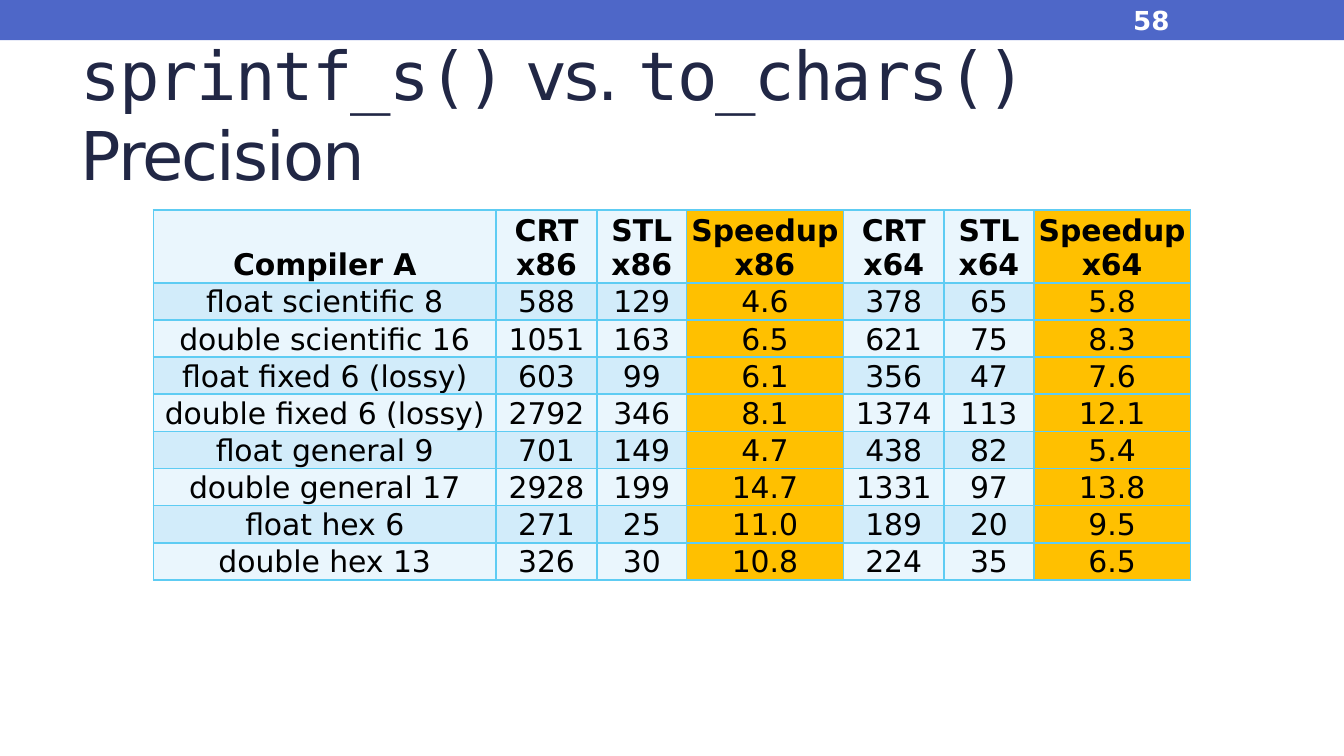
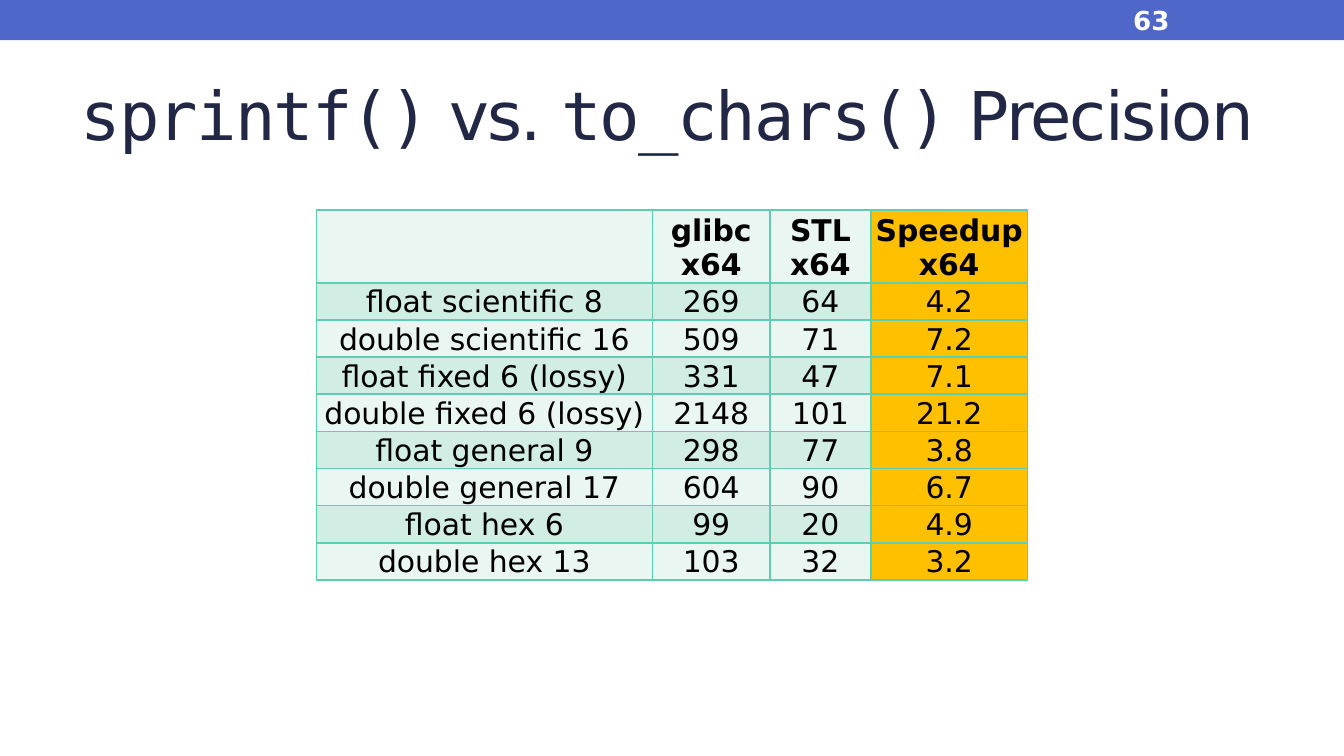
from lxml.etree import SubElement
from pptx import Presentation
from pptx.dml.color import RGBColor
from pptx.enum.shapes import MSO_SHAPE
from pptx.enum.text import MSO_ANCHOR, MSO_AUTO_SIZE, PP_ALIGN
from pptx.oxml.ns import qn
from pptx.util import Pt

SANS = "DejaVu Sans"
MONO = "DejaVu Sans Mono"
WIDTH = 720
BAND = "4E67C8"
NAVY = "212745"
GOLD = "FFC000"
WHITE = "FFFFFF"
BLACK = "000000"
BLUE = ("5ECCF3", "EAF6FD", "D2ECFA")
GREEN = ("5DCEAF", "EAF6F2", "D2EDE3")

TESTS = [
    "float scientific 8", "double scientific 16",
    "float fixed 6 (lossy)", "double fixed 6 (lossy)",
    "float general 9", "double general 17",
    "float hex 6", "double hex 13",
]

CRT = [
    ["588", "129", "4.6", "378", "65", "5.8"],
    ["1051", "163", "6.5", "621", "75", "8.3"],
    ["603", "99", "6.1", "356", "47", "7.6"],
    ["2792", "346", "8.1", "1374", "113", "12.1"],
    ["701", "149", "4.7", "438", "82", "5.4"],
    ["2928", "199", "14.7", "1331", "97", "13.8"],
    ["271", "25", "11.0", "189", "20", "9.5"],
    ["326", "30", "10.8", "224", "35", "6.5"],
]

GLIBC = [
    ["269", "64", "4.2"],
    ["509", "71", "7.2"],
    ["331", "47", "7.1"],
    ["2148", "101", "21.2"],
    ["298", "77", "3.8"],
    ["604", "90", "6.7"],
    ["99", "20", "4.9"],
    ["103", "32", "3.2"],
]


def paint(fmt, tint):
    fmt.solid()
    fmt.fore_color.rgb = RGBColor.from_string(tint)


def style(run, size, tint, face=SANS, bold=False):
    run.font.name = face
    run.font.size = Pt(size)
    run.font.bold = bold
    paint(run.font.fill, tint)


def add_band(slide, page):
    band = slide.shapes.add_shape(MSO_SHAPE.RECTANGLE, 0, 0, Pt(WIDTH), Pt(21.6))
    band.shadow.inherit = False
    paint(band.fill, BAND)
    band.line.fill.background()
    box = slide.shapes.add_textbox(Pt(600), Pt(0.9), Pt(84), Pt(19.5))
    frame = box.text_frame
    frame.word_wrap = True
    frame.vertical_anchor = MSO_ANCHOR.MIDDLE
    frame.text = page
    style(frame.paragraphs[0].runs[0], 14, WHITE, bold=True)


def add_title(slide, call, tail):
    title = slide.shapes.title
    title.left, title.top, title.width, title.height = Pt(36), Pt(31.7), Pt(648), Pt(58.3)
    frame = title.text_frame
    frame.word_wrap = True
    frame.auto_size = MSO_AUTO_SIZE.NONE
    frame.vertical_anchor = MSO_ANCHOR.MIDDLE
    para = frame.paragraphs[0]
    para.alignment = PP_ALIGN.LEFT
    parts = [(call, MONO), (" vs. ", SANS), ("to_chars()", MONO), (tail, SANS)]
    for text, face in parts:
        run = para.add_run()
        run.text = text
        style(run, 36, NAVY, face)
        run.font._element.set("spc", "-100")


def add_edges(cell, tint):
    props = cell._tc.get_or_add_tcPr()
    for side in ("a:lnL", "a:lnR", "a:lnT", "a:lnB"):
        line = SubElement(props, qn(side), w=str(Pt(1)))
        fill = SubElement(line, qn("a:solidFill"))
        SubElement(fill, qn("a:srgbClr"), val=tint)


def fill_cell(cell, text, bold):
    cell.vertical_anchor = MSO_ANCHOR.BOTTOM
    cell.margin_left = cell.margin_right = cell.margin_top = Pt(0.7)
    cell.margin_bottom = 0
    if text:
        cell.text_frame.text = text
        para = cell.text_frame.paragraphs[0]
        para.alignment = PP_ALIGN.CENTER
        style(para.runs[0], 16, BLACK, bold=bold)


def add_grid(slide, head, data, widths, theme):
    edge, light, dark = theme
    rows = [head] + [[name] + vals for name, vals in zip(TESTS, data)]
    total = sum(widths)
    high = 15.1
    shape = slide.shapes.add_table(
        len(rows), len(head), Pt((WIDTH - total) / 2), Pt(112.4),
        Pt(total), Pt(high * len(rows)))
    table = shape.table
    table.first_row = False
    table.horz_banding = False
    for col, width in zip(table.columns, widths):
        col.width = Pt(width)
    for r, row in enumerate(rows):
        table.rows[r].height = Pt(high)
        for c, text in enumerate(row):
            cell = table.cell(r, c)
            fill_cell(cell, text, r == 0)
            add_edges(cell, edge)
            gold = head[c].startswith("Speedup")
            paint(cell.fill, GOLD if gold else dark if r % 2 else light)


def add_page(deck, page, call, tail, head, data, widths, theme):
    slide = deck.slides.add_slide(deck.slide_layouts[5])
    add_band(slide, page)
    add_title(slide, call, tail)
    add_grid(slide, head, data, widths, theme)


def main():
    deck = Presentation()
    deck.slide_width = Pt(WIDTH)
    deck.slide_height = Pt(405)
    kinds = [f"{kind} {arch}" for arch in ("x86", "x64") for kind in ("CRT", "STL", "Speedup")]
    add_page(deck, "58", "sprintf_s()", " Precision", ["Compiler A"] + kinds,
             CRT, [183.6] + [54, 48, 84] * 2, BLUE)
    add_page(deck, "63", "sprintf()", " Precision ",
             ["", "glibc x64", "STL x64", "Speedup x64"],
             GLIBC, [180, 63, 54, 84], GREEN)
    deck.save("out.pptx")


main()
